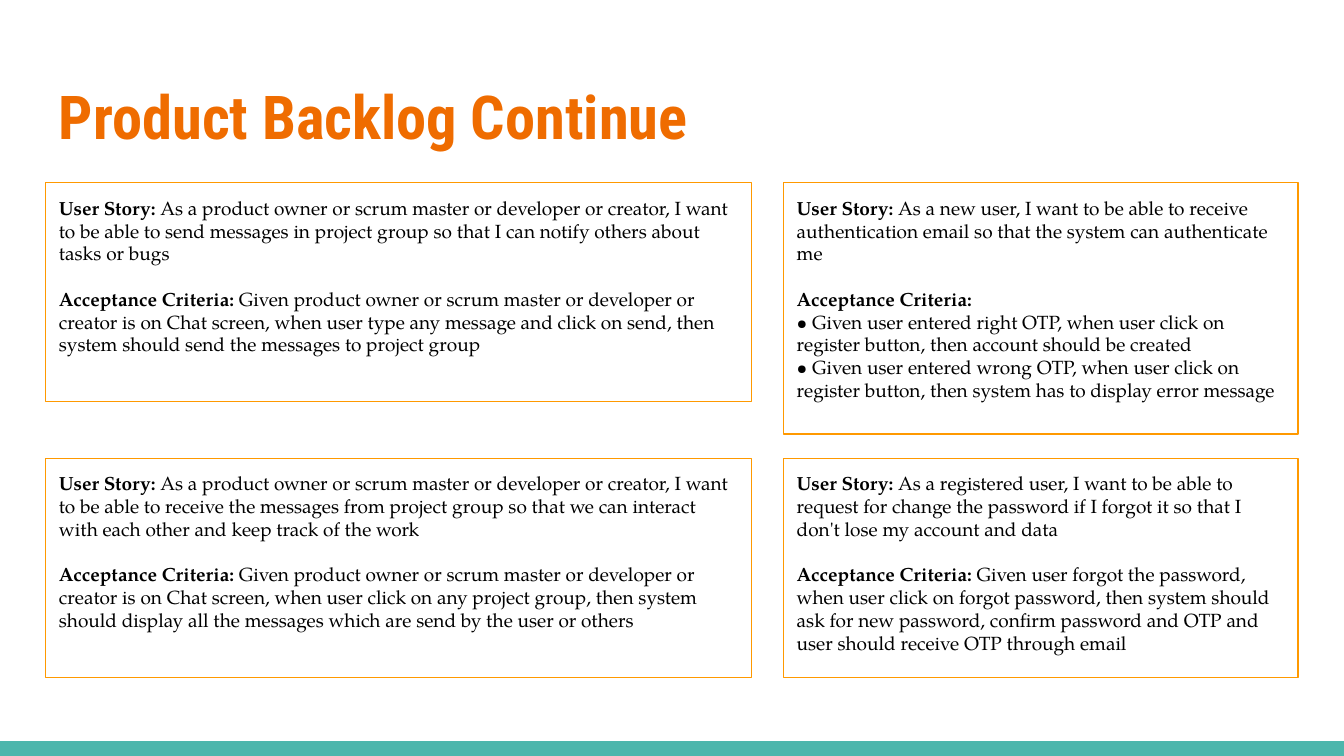
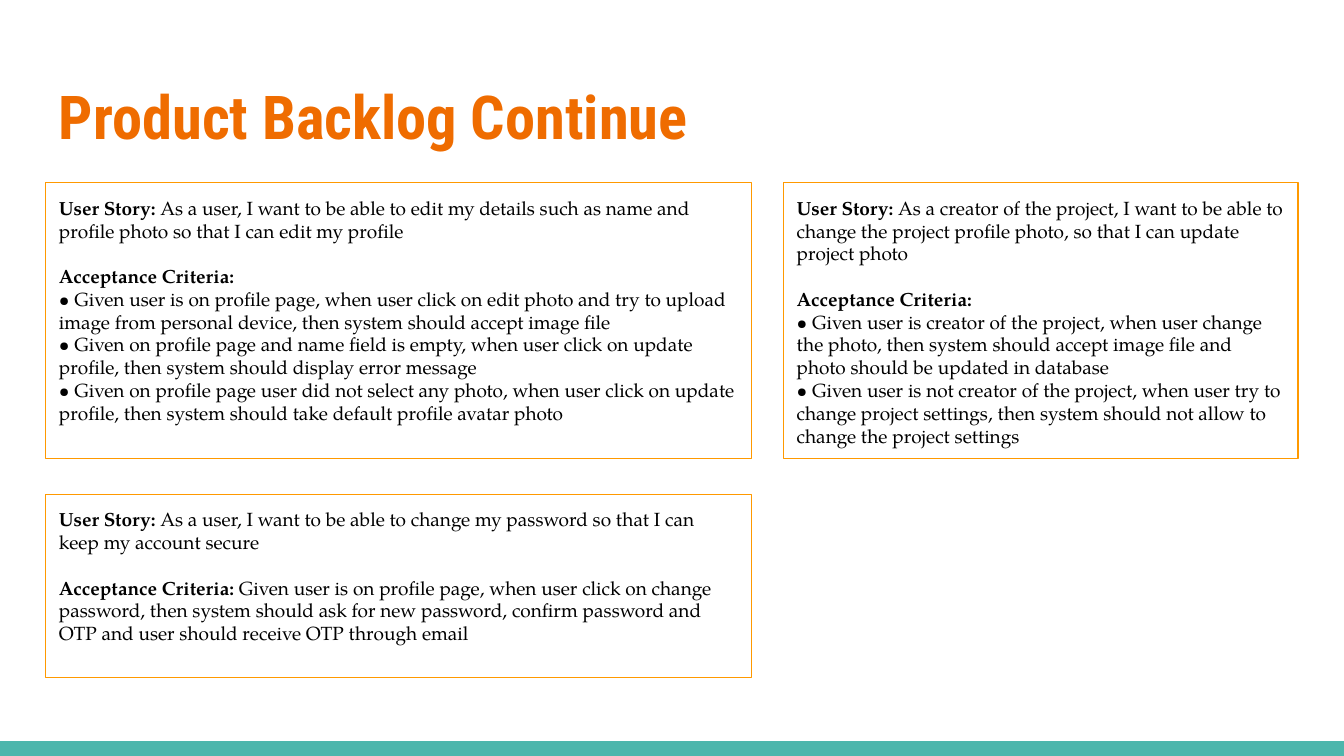
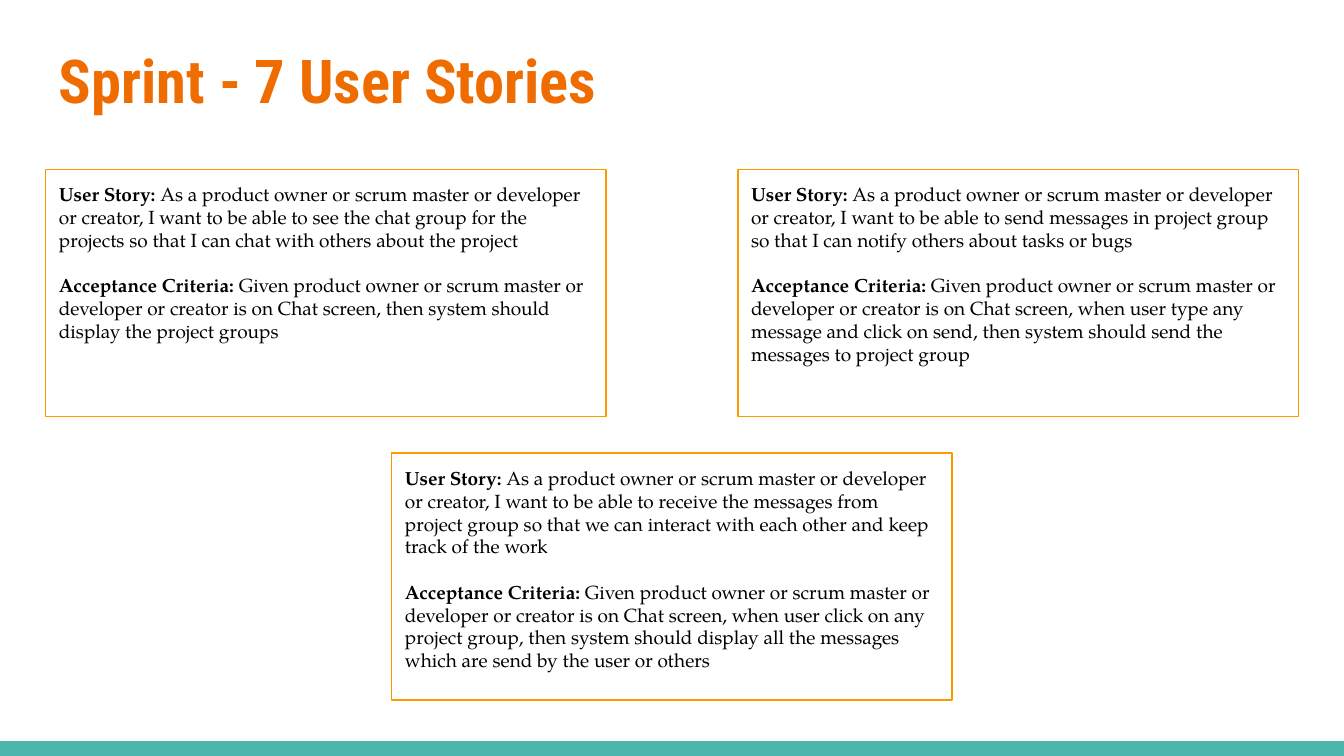
from pptx import Presentation
from pptx.dml.color import RGBColor
from pptx.enum.shapes import MSO_SHAPE
from pptx.enum.text import MSO_ANCHOR, PP_ALIGN
from pptx.util import Inches, Pt

# Shared style
SLIDE_W = 10
SLIDE_H = SLIDE_W * 9 / 16
MARGIN = 0.34
CONTENT_W = SLIDE_W - 2 * MARGIN
TITLE_H, BAND_H, INSET = 0.77, 0.11, 0.1
ORANGE, AMBER, TEAL, BLACK = "EF6C00", "FF9900", "4DB6AC", "000000"
TITLE_FONT, BODY_FONT = "Roboto Condensed", "TeX Gyre Pagella"

# Each story: (user story, acceptance criteria); several criteria become bullets
TEAM = "product owner or scrum master or developer or creator"
SEE_CHAT = (
    f"As a {TEAM}, I want to be able to see the chat group for the projects "
    "so that I can chat with others about the project",
    [f"Given {TEAM} is on Chat screen, then system should display the project groups"],
)
SEND_MESSAGES = (
    f"As a {TEAM}, I want to be able to send messages in project group "
    "so that I can notify others about tasks or bugs",
    [f"Given {TEAM} is on Chat screen, when user type any message and click on send, "
     "then system should send the messages to project group"],
)
RECEIVE_MESSAGES = (
    f"As a {TEAM}, I want to be able to receive the messages from project group "
    "so that we can interact with each other and keep track of the work",
    [f"Given {TEAM} is on Chat screen, when user click on any project group, "
     "then system should display all the messages which are send by the user or others"],
)
AUTHENTICATION = (
    "As a new user, I want to be able to receive authentication email "
    "so that the system can authenticate me",
    ["Given user entered right OTP, when user click on register button, "
     "then account should be created",
     "Given user entered wrong OTP, when user click on register button, "
     "then system has to display error message"],
)
FORGOT_PASSWORD = (
    "As a registered user, I want to be able to request for change the password "
    "if I forgot it so that I don't lose my account and data",
    ["Given user forgot the password, when user click on forgot password, "
     "then system should ask for new password, confirm password and OTP "
     "and user should receive OTP through email"],
)
EDIT_PROFILE = (
    "As a user, I want to be able to edit my details such as name and profile photo "
    "so that I can edit my profile",
    ["Given user is on profile page, when user click on edit photo and try to upload "
     "image from personal device, then system should accept image file",
     "Given on profile page and name field is empty, when user click on update profile, "
     "then system should display error message",
     "Given on profile page user did not select any photo, when user click on update "
     "profile, then system should take default profile avatar photo"],
)
PROJECT_PHOTO = (
    "As a creator of the project, I want to be able to change the project profile photo, "
    "so that I can update project photo",
    ["Given user is creator of the project, when user change the photo, "
     "then system should accept image file and photo should be updated in database",
     "Given user is not creator of the project, when user try to change project settings, "
     "then system should not allow to change the project settings"],
)
CHANGE_PASSWORD = (
    "As a user, I want to be able to change my password so that I can keep my account secure",
    ["Given user is on profile page, when user click on change password, "
     "then system should ask for new password, confirm password and OTP "
     "and user should receive OTP through email"],
)

# Columns as (left, width)
WIDE_W, NARROW_W, SPRINT_W = 5.25, 3.83, 4.17
WIDE = (MARGIN, WIDE_W)
NARROW = (SLIDE_W - MARGIN - NARROW_W, NARROW_W)
SPRINT_LEFT = (MARGIN, SPRINT_W)
SPRINT_MIDDLE = ((SLIDE_W - SPRINT_W) / 2, SPRINT_W)
SPRINT_RIGHT = (SLIDE_W - MARGIN - SPRINT_W, SPRINT_W)

# Slides: title, title top, cards as (story, column, top, height)
SLIDES = [
    ("Product Backlog Continue", 0.49, [
        (SEND_MESSAGES, WIDE, 1.36, 1.63),
        (AUTHENTICATION, NARROW, 1.36, 1.87),
        (RECEIVE_MESSAGES, WIDE, 3.41, 1.63),
        (FORGOT_PASSWORD, NARROW, 3.41, 1.63),
    ]),
    ("Product Backlog Continue", 0.49, [
        (EDIT_PROFILE, WIDE, 1.36, 2.05),
        (PROJECT_PHOTO, NARROW, 1.36, 2.05),
        (CHANGE_PASSWORD, WIDE, 3.68, 1.36),
    ]),
    ("Sprint - 7 User Stories", 0.22, [
        (SEND_MESSAGES, SPRINT_RIGHT, 1.26, 1.84),
        (RECEIVE_MESSAGES, SPRINT_MIDDLE, 3.37, 1.84),
        (SEE_CHAT, SPRINT_LEFT, 1.26, 1.84),
    ]),
]


def color(hex_code):
    return RGBColor.from_string(hex_code)


def style_run(run, font_name, size, hex_code, bold):
    run.font.name = font_name
    run.font.size = Pt(size)
    run.font.color.rgb = color(hex_code)
    run.font.bold = bold


def prepare_frame(frame):
    frame.word_wrap = True
    frame.vertical_anchor = MSO_ANCHOR.TOP
    frame.margin_left = frame.margin_right = Inches(INSET)
    frame.margin_top = frame.margin_bottom = Inches(INSET)


def add_rectangle(slide, left, top, width, height):
    rectangle = slide.shapes.add_shape(
        MSO_SHAPE.RECTANGLE, Inches(left), Inches(top), Inches(width), Inches(height))
    rectangle.shadow.inherit = False
    return rectangle


def add_band(slide):
    band = add_rectangle(slide, 0, SLIDE_H - BAND_H, SLIDE_W, BAND_H)
    band.fill.solid()
    band.fill.fore_color.rgb = color(TEAL)
    band.line.fill.background()


def add_title(slide, title, top):
    heading = slide.shapes.add_textbox(
        Inches(MARGIN), Inches(top), Inches(CONTENT_W), Inches(TITLE_H))
    prepare_frame(heading.text_frame)
    heading.text_frame.text = title
    style_run(heading.text_frame.paragraphs[0].runs[0], TITLE_FONT, 32.4, ORANGE, True)


def story_lines(story):
    """Return the card's paragraphs as (bold label, plain text) pairs."""
    wish, criteria = story
    if len(criteria) == 1:
        return [("User Story: ", wish), ("Acceptance Criteria: ", criteria[0])]
    bullets = [("", f"• {criterion}") for criterion in criteria]
    return [("User Story: ", wish), ("Acceptance Criteria:", ""), *bullets]


def add_card(slide, story, column, top, height):
    left, width = column
    card = add_rectangle(slide, left, top, width, height)
    card.fill.background()
    card.line.color.rgb = color(AMBER)
    card.line.width = Pt(0.75)
    frame = card.text_frame
    prepare_frame(frame)
    for index, (label, body) in enumerate(story_lines(story)):
        paragraph = frame.add_paragraph() if index else frame.paragraphs[0]
        paragraph.alignment = PP_ALIGN.LEFT
        if label.startswith("Acceptance"):
            paragraph.space_before = Pt(12)
        for words, bold in ((label, True), (body, False)):
            if words:
                run = paragraph.add_run()
                run.text = words
                style_run(run, BODY_FONT, 10.2, BLACK, bold)


def main():
    deck = Presentation()
    deck.slide_width, deck.slide_height = Inches(SLIDE_W), Inches(SLIDE_H)
    for title, title_top, cards in SLIDES:
        slide = deck.slides.add_slide(deck.slide_layouts[6])
        add_band(slide)
        add_title(slide, title, title_top)
        for card in cards:
            add_card(slide, *card)
    deck.save("out.pptx")


if __name__ == "__main__":
    main()
